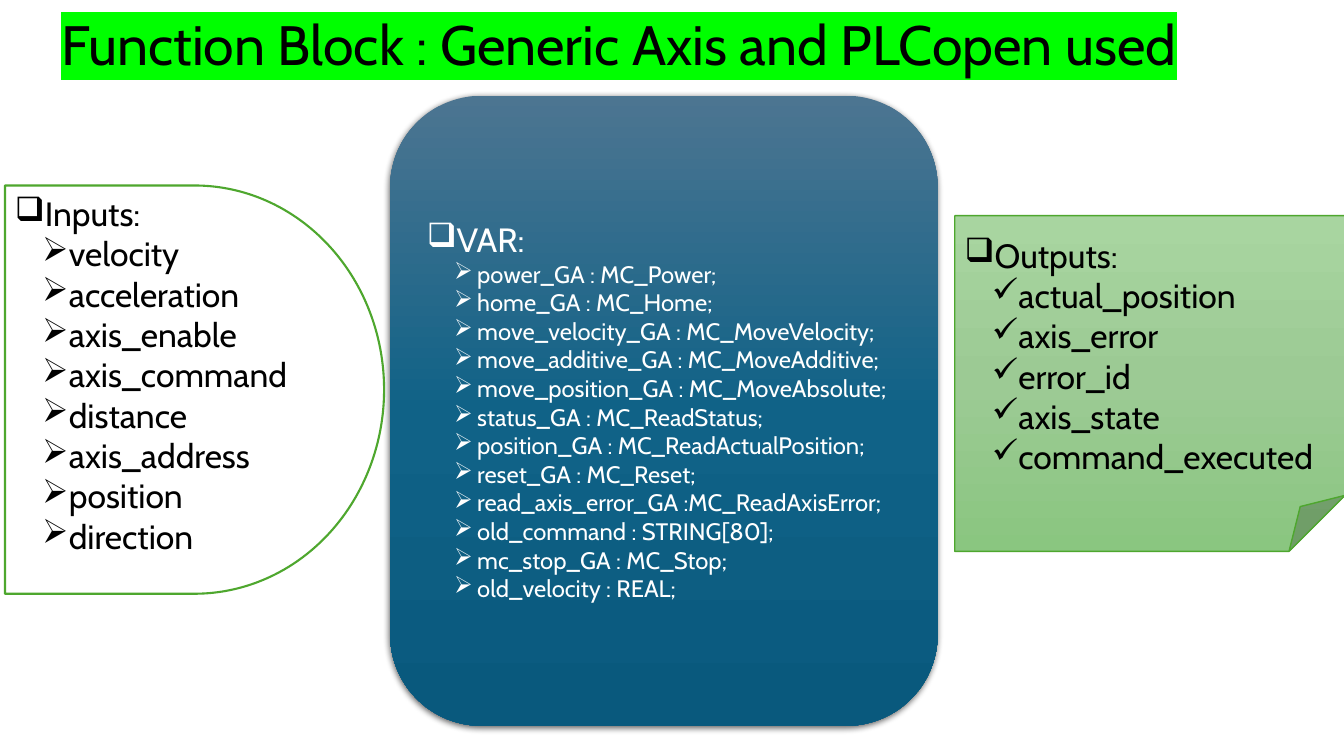
from pptx import Presentation
from pptx.util import Inches, Pt
from pptx.dml.color import RGBColor
from pptx.enum.shapes import MSO_SHAPE
from pptx.enum.text import MSO_ANCHOR, PP_ALIGN
from pptx.oxml import parse_xml
from pptx.oxml.ns import nsdecls, qn
from lxml.etree import SubElement
from copy import deepcopy

THEME = {
    "font": "Cabin",
    "black": "000000", "white": "FFFFFF", "highlight": "00FF00", "green": "4EA72E",
    "blue_fade": ["4C7591", "106287", "09597D"],
    "green_fade": ["A8D5A0", "9CCA94", "8AC680"],
    "title": 39.6, "heading": 24, "variable": 17,
}


def rgb(name):
    return RGBColor.from_string(THEME.get(name, name))


def add_line(p, text, size, color, bullet=None, left=0, hang=0):
    if bullet:
        pPr = p._p.get_or_add_pPr()
        pPr.set("marL", str(Inches(left)))
        pPr.set("indent", str(-Inches(hang)))
        SubElement(pPr, qn("a:buChar")).set("char", bullet)
    r = p.add_run()
    r.text = text
    for key, value in {"size": Pt(THEME[size]), "name": THEME["font"]}.items():
        setattr(r.font, key, value)
    r.font.color.rgb = rgb(color)
    return r


prs = Presentation()
prs.slide_width, prs.slide_height = Inches(13.33), Inches(7.5)
s = prs.slides.add_slide(prs.slide_layouts[6])

# Title
tf = s.shapes.add_textbox(Inches(0.51), Inches(0), Inches(11.5), Inches(0.95)).text_frame
tf.word_wrap = True
tf.vertical_anchor = MSO_ANCHOR.MIDDLE
tf.paragraphs[0].line_spacing = 0.9
r = add_line(tf.paragraphs[0], "Function Block : Generic Axis and PLCopen used", "title", "black")
r.font._element.find(qn("a:solidFill")).addnext(parse_xml(
    f'<a:highlight {nsdecls("a")}><a:srgbClr val="{THEME["highlight"]}"/></a:highlight>'))

# Variables, inputs and outputs of the block
panels = [
    {"shape": MSO_SHAPE.FLOWCHART_ALTERNATE_PROCESS, "at": (3.87, 0.95, 5.43, 6.25),
     "fade": "blue_fade", "line": None, "shadow": True, "bottom": 0.05,
     "heading": "VAR:", "bullet": "➢", "size": "variable", "color": "white",
     "items": ["power_GA : MC_Power;", "home_GA : MC_Home;",
               "move_velocity_GA : MC_MoveVelocity;", "move_additive_GA : MC_MoveAdditive;",
               "move_position_GA : MC_MoveAbsolute;", "status_GA : MC_ReadStatus;",
               "position_GA : MC_ReadActualPosition;", "reset_GA : MC_Reset;",
               "read_axis_error_GA :MC_ReadAxisError;", "old_command : STRING[80];",
               "mc_stop_GA : MC_Stop;", "old_velocity : REAL;"]},
    {"shape": MSO_SHAPE.FLOWCHART_DELAY, "at": (0.05, 1.84, 3.76, 4.05),
     "fade": None, "line": 1.5, "shadow": False, "bottom": 0.35,
     "heading": "Inputs:", "bullet": "➢", "size": "heading", "color": "black",
     "items": ["velocity", "acceleration", "axis_enable", "axis_command",
               "distance", "axis_address", "position", "direction"]},
    {"shape": MSO_SHAPE.FOLDED_CORNER, "at": (9.47, 2.14, 3.87, 3.33),
     "fade": "green_fade", "line": 1, "shadow": False, "bottom": 0.05,
     "heading": "Outputs:", "bullet": "✓", "size": "heading", "color": "black",
     "items": ["actual_position", "axis_error", "error_id", "axis_state", "command_executed"]},
]
for panel in panels:
    sp = s.shapes.add_shape(panel["shape"], *[Inches(v) for v in panel["at"]])

    # Fill, outline and shadow
    if panel["fade"]:
        sp.fill.gradient()
        sp.fill.gradient_angle = 270
        stops = sp._element.spPr.find(qn("a:gradFill")).find(qn("a:gsLst"))
        stops.append(deepcopy(stops[-1]))
        for i, (stop, color) in enumerate(zip(sp.fill.gradient_stops, THEME[panel["fade"]])):
            stop.position = i / 2
            stop.color.rgb = rgb(color)
    else:
        sp.fill.solid()
        sp.fill.fore_color.rgb = rgb("white")
    if panel["line"]:
        sp.line.color.rgb = rgb("green")
        sp.line.width = Pt(panel["line"])
    else:
        sp.line.fill.background()
    sp.shadow.inherit = False
    if panel["shadow"]:
        sp._element.spPr.find(qn("a:effectLst")).append(parse_xml(
            f'<a:outerShdw {nsdecls("a")} blurRad="{Pt(4.5)}" dist="{Pt(1.5)}" dir="5400000" '
            f'algn="ctr" rotWithShape="0"><a:srgbClr val="{THEME["black"]}">'
            '<a:alpha val="63000"/></a:srgbClr></a:outerShdw>'))

    # Heading and list
    tf = sp.text_frame
    for key, value in {"word_wrap": True, "vertical_anchor": MSO_ANCHOR.MIDDLE,
                       "margin_bottom": Inches(panel["bottom"])}.items():
        setattr(tf, key, value)
    add_line(tf.paragraphs[0], panel["heading"], "heading", panel["color"], "❑")
    for item in panel["items"]:
        p = tf.add_paragraph()
        p.level = 1
        add_line(p, item, panel["size"], panel["color"], panel["bullet"], 0.5, 0.23)
    for p in tf.paragraphs:
        p.alignment = PP_ALIGN.LEFT

prs.save("out.pptx")
